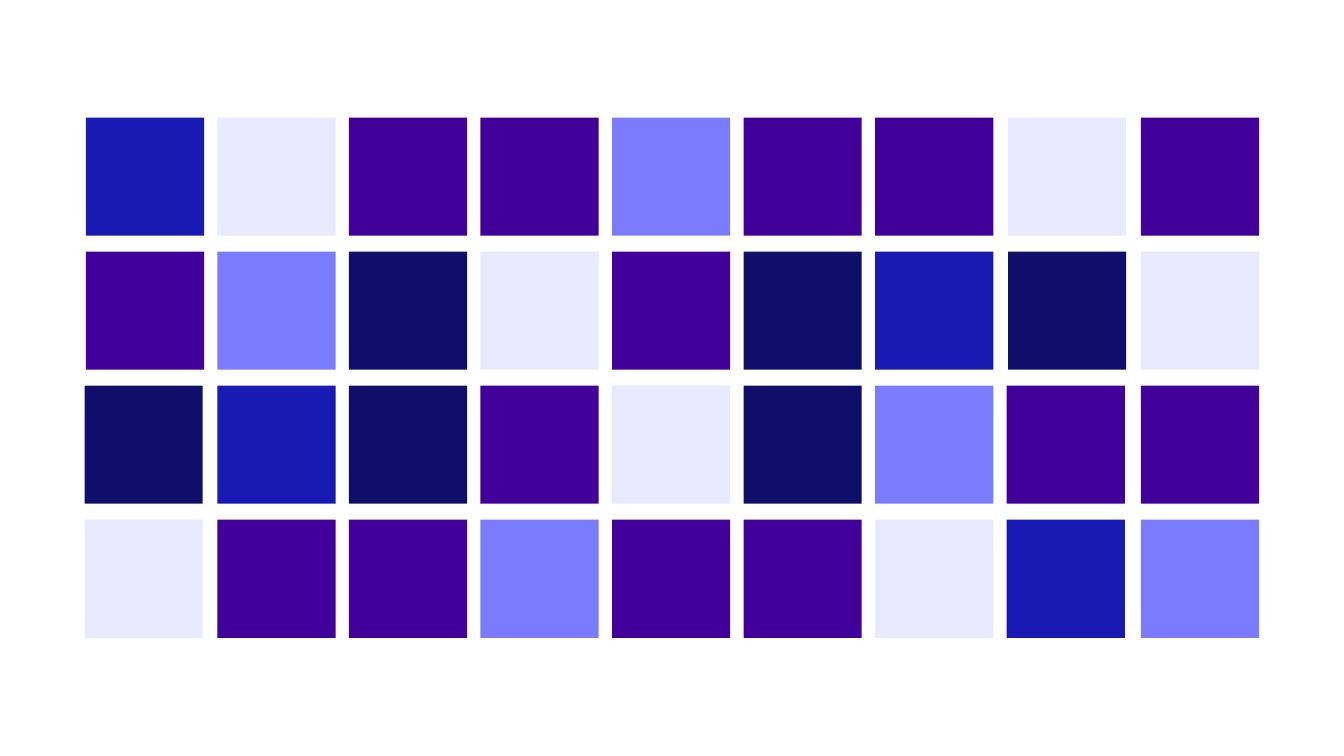
from typing import NamedTuple

from pptx import Presentation
from pptx.dml.color import RGBColor
from pptx.enum.shapes import MSO_SHAPE
from pptx.shapes.group import GroupShape
from pptx.util import Inches

RECTANGLE = MSO_SHAPE.RECTANGLE
BLANK_LAYOUT = 6

WHITE = RGBColor(0xFF, 0xFF, 0xFF)
BLUE = RGBColor(0x19, 0x19, 0xB3)
NAVY = RGBColor(0x0F, 0x0F, 0x6B)
PURPLE = RGBColor(0x40, 0x00, 0x99)
PERIWINKLE = RGBColor(0x7B, 0x7B, 0xFF)
LAVENDER = RGBColor(0xE9, 0xE9, 0xFF)

# Grid in inches: the first eight columns are evenly spaced
SLIDE_WIDTH, SLIDE_HEIGHT = 19.56, 11
TILE_SIZE = 1.72
GRID_LEFT, GRID_TOP = 1.25, 1.71
COLUMN_PITCH = (14.65 - GRID_LEFT) / 7
ROW_PITCH = 1.95

# Each row of tile colours, from left to right
MOSAIC = (
    (BLUE, LAVENDER, PURPLE, PURPLE, PERIWINKLE, PURPLE, PURPLE, LAVENDER, PURPLE),
    (PURPLE, PERIWINKLE, NAVY, LAVENDER, PURPLE, NAVY, BLUE, NAVY, LAVENDER),
    (NAVY, BLUE, NAVY, PURPLE, LAVENDER, NAVY, PERIWINKLE, PURPLE, PURPLE),
    (LAVENDER, PURPLE, PURPLE, PERIWINKLE, PURPLE, PURPLE, LAVENDER, BLUE, PERIWINKLE),
)

# Small sideways shifts of tiles, by (row, column)
SHIFTS = {(2, 0): -0.02, (3, 0): -0.02, (0, 7): 0.02, (1, 7): 0.02}
SHIFTS |= {(row, 8): 0.04 for row in range(len(MOSAIC))}


class Tile(NamedTuple):
    row: int
    column: int
    color: RGBColor

    @property
    def left(self) -> float:
        shift = SHIFTS.get((self.row, self.column), 0)
        return GRID_LEFT + self.column * COLUMN_PITCH + shift

    @property
    def top(self) -> float:
        return GRID_TOP + self.row * ROW_PITCH


def draw_tile(group: GroupShape, tile: Tile) -> None:
    size = Inches(TILE_SIZE)
    shape = group.shapes.add_shape(
        RECTANGLE, Inches(tile.left), Inches(tile.top), size, size
    )
    shape.shadow.inherit = False
    shape.fill.solid()
    shape.fill.fore_color.rgb = tile.color
    shape.line.fill.background()


def main() -> None:
    presentation = Presentation()
    presentation.slide_width = Inches(SLIDE_WIDTH)
    presentation.slide_height = Inches(SLIDE_HEIGHT)
    slide = presentation.slides.add_slide(presentation.slide_layouts[BLANK_LAYOUT])
    slide.background.fill.solid()
    slide.background.fill.fore_color.rgb = WHITE

    # Mosaic of coloured squares
    mosaic = slide.shapes.add_group_shape()
    for row, colors in enumerate(MOSAIC):
        for column, color in enumerate(colors):
            draw_tile(mosaic, Tile(row, column, color))

    presentation.save("out.pptx")


if __name__ == "__main__":
    main()
